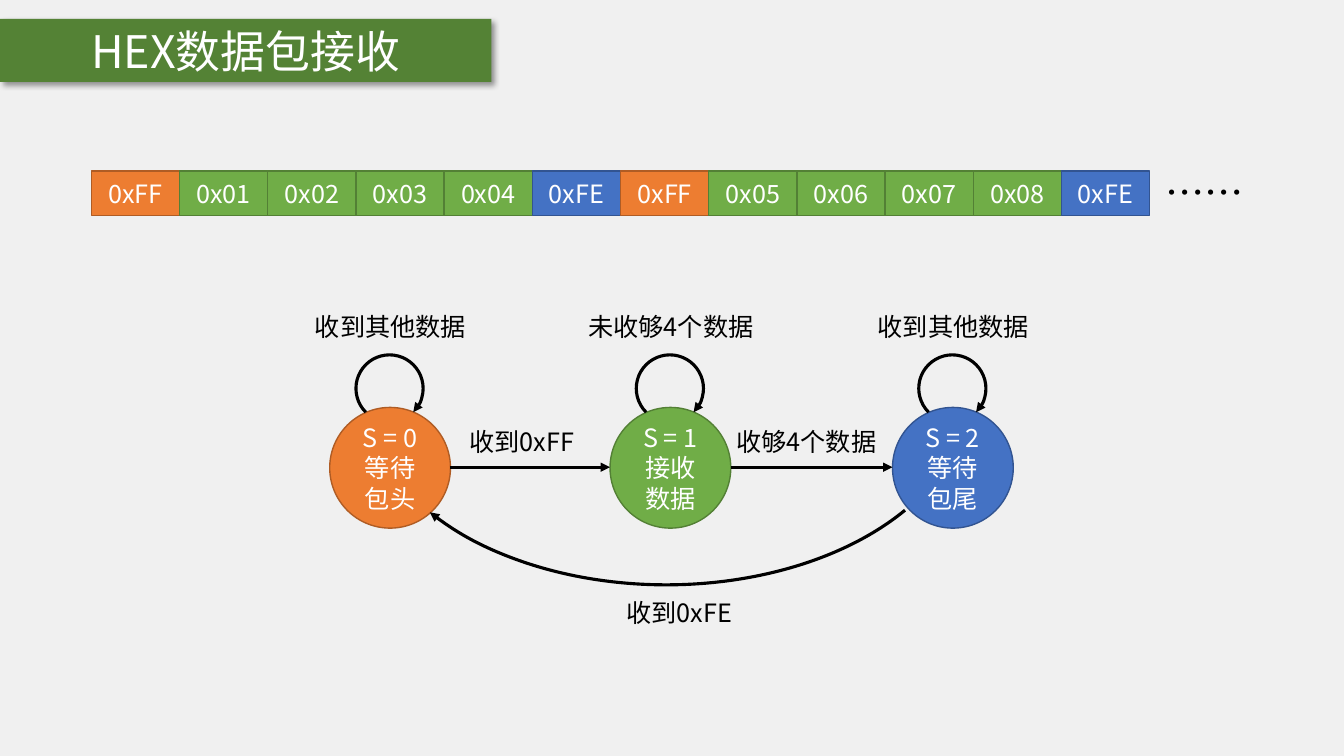
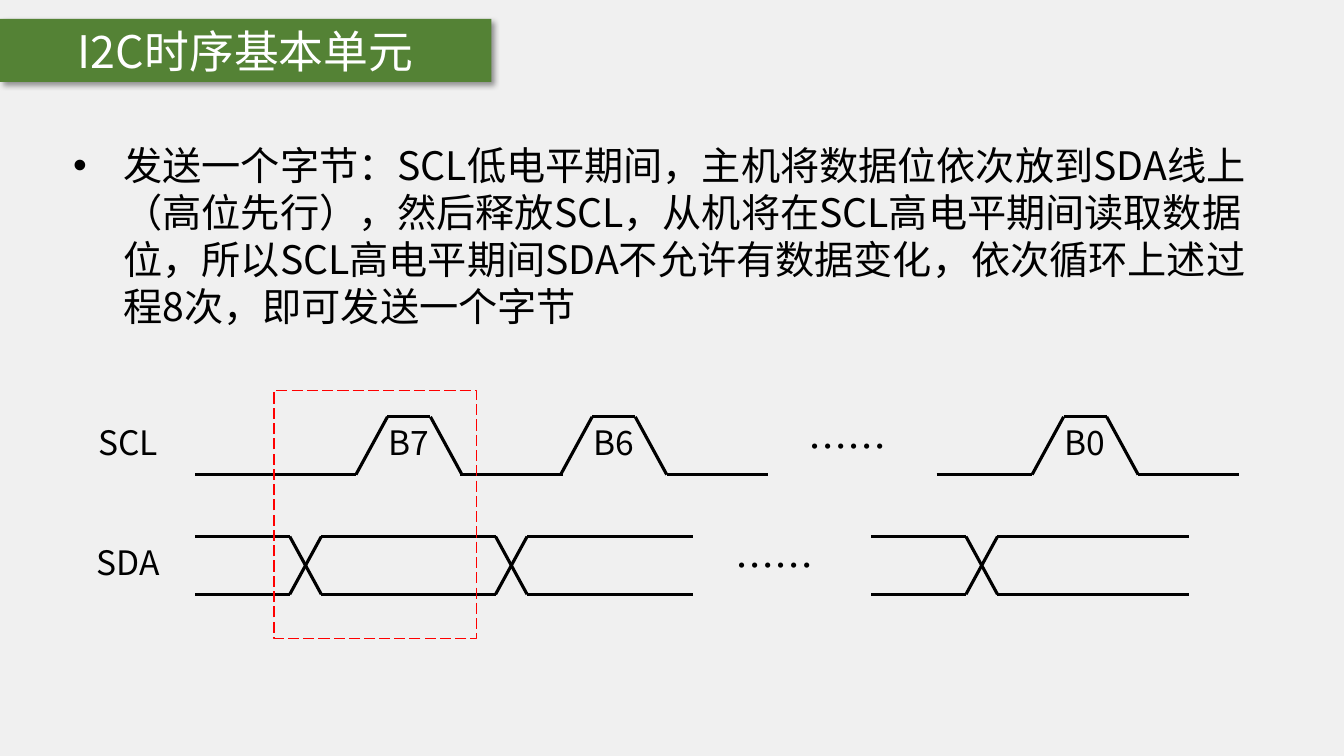
from itertools import pairwise

from lxml.etree import SubElement
from pptx import Presentation
from pptx.dml.color import RGBColor
from pptx.enum.dml import MSO_LINE
from pptx.enum.shapes import MSO_CONNECTOR, MSO_SHAPE
from pptx.enum.text import MSO_ANCHOR, MSO_AUTO_SIZE, PP_ALIGN
from pptx.oxml import parse_xml
from pptx.oxml.ns import nsdecls, qn
from pptx.util import Pt

PX = 9525  # 96 px to the inch
FONT = "Noto Sans CJK SC"
PAPER = RGBColor(0xF0, 0xF0, 0xF0)
BAND = RGBColor(0x54, 0x82, 0x35)
WHITE = RGBColor(0xFF, 0xFF, 0xFF)
BLACK = RGBColor(0x00, 0x00, 0x00)
RED = RGBColor(0xFF, 0x00, 0x00)
# fill and outline of each part of a packet
HEAD = RGBColor(0xED, 0x7D, 0x31), RGBColor(0xAF, 0x5C, 0x24)
DATA = RGBColor(0x70, 0xAD, 0x47), RGBColor(0x53, 0x80, 0x35)
TAIL = RGBColor(0x44, 0x72, 0xC4), RGBColor(0x32, 0x54, 0x91)

SHADOW = (
    f'<a:effectLst {nsdecls("a")}><a:outerShdw blurRad="50800" dist="38100" '
    'dir="2700000" algn="tl" rotWithShape="0"><a:srgbClr val="000000">'
    '<a:alpha val="40000"/></a:srgbClr></a:outerShdw></a:effectLst>'
)


def write(sp, text, size, color, align=PP_ALIGN.CENTER):
    tf = sp.text_frame
    tf.word_wrap = True
    tf.auto_size = MSO_AUTO_SIZE.NONE
    for i, line in enumerate(text.split("\n")):
        p = tf.add_paragraph() if i else tf.paragraphs[0]
        p.alignment = align
        p.space_before = Pt(0)
        r = p.add_run()
        r.text = line
        r.font.size = Pt(size)
        r.font.name = FONT
        r.font.color.rgb = color
        SubElement(r.font._element, qn("a:ea"), typeface=FONT)


def stroke(sp, arrow=False):
    """Draw a connector or an arc in plain black, with an arrowhead at its end if asked."""
    sp.line.color.rgb = BLACK
    sp.line.width = Pt(2.25)
    if arrow:
        SubElement(sp.line._get_or_add_ln(), qn("a:tailEnd"), type="triangle")
    SubElement(sp._element.spPr, qn("a:effectLst"))


prs = Presentation()
prs.slide_width, prs.slide_height = 1280 * PX, 720 * PX
fill = prs.slide_master.background.fill
fill.solid()
fill.fore_color.rgb = PAPER

slides = []
for layout, title in (5, "HEX数据包接收"), (1, "I2C时序基本单元"):
    s = prs.slides.add_slide(prs.slide_layouts[layout])
    sp = s.shapes.title
    sp.left, sp.top, sp.width, sp.height = 0, 18 * PX, 468 * PX, 60 * PX
    sp.fill.solid()
    sp.fill.fore_color.rgb = BAND
    sp.line.fill.background()
    sp._element.spPr.append(parse_xml(SHADOW))
    sp.text_frame.vertical_anchor = MSO_ANCHOR.MIDDLE
    write(sp, title, 32, WHITE)
    slides.append(s)
packet, timing = slides

# Packet slide: byte stream and state circles
blocks = []
stream = "0xFF 0x01 0x02 0x03 0x04 0xFE 0xFF 0x05 0x06 0x07 0x08 0xFE".split()
for i, byte in enumerate(stream):
    style = {"0xFF": HEAD, "0xFE": TAIL}.get(byte, DATA)
    blocks.append((MSO_SHAPE.RECTANGLE, 87 + 84 * i, 163, 84, 42, style, byte))

STATE_X, STATE_Y, STATE_D = (314, 581, 850), 388, 115
states = (HEAD, "S = 0\n等待包头"), (DATA, "S = 1\n接收数据"), (TAIL, "S = 2\n等待包尾")
for x, (style, text) in zip(STATE_X, states):
    blocks.append((MSO_SHAPE.OVAL, x, STATE_Y, STATE_D, STATE_D, style, text))

for kind, x, y, w, h, (color, edge), text in blocks:
    sp = packet.shapes.add_shape(kind, x * PX, y * PX, w * PX, h * PX)
    sp.shadow.inherit = False
    sp.fill.solid()
    sp.fill.fore_color.rgb = color
    sp.line.color.rgb = edge
    sp.line.width = Pt(1)
    sp.text_frame.vertical_anchor = MSO_ANCHOR.MIDDLE
    write(sp, text, 18, WHITE)

# Transitions: the return arc, the loops and the forward arrows
arcs = [(347, 191, 575, 366, 0, 26.2, 153.15)]
arcs += [(x + 25, 338, 64, 64, 45, 90, 0) for x in STATE_X]
for x, y, w, h, turn, start, end in arcs:
    sp = packet.shapes.add_shape(MSO_SHAPE.ARC, x * PX, y * PX, w * PX, h * PX)
    sp.rotation = turn
    # adjustments count in 100000, angles in 60000 to the degree
    sp.adjustments[0], sp.adjustments[1] = start * 0.6, end * 0.6
    sp.fill.background()
    stroke(sp, arrow=True)

for x1, x2 in pairwise(STATE_X):
    line = packet.shapes.add_connector(
        MSO_CONNECTOR.STRAIGHT, (x1 + STATE_D) * PX, 445 * PX, x2 * PX, 445 * PX)
    stroke(line, arrow=True)

labels = [
    (packet, "……", 1093, 156, 108, 55, 28),
    (packet, "收到0xFF", 414, 401, 166, 38, 18),
    (packet, "收够4个数据", 685, 401, 166, 38, 18),
    (packet, "收到0xFE", 564, 564, 166, 38, 18),
]
for x, text in zip(STATE_X, ("收到其他数据", "未收够4个数据", "收到其他数据")):
    labels.append((packet, text, x - 45, 292, 206, 38, 18))

# Timing slide: explanation
body = timing.placeholders[1]
body.left, body.top, body.width, body.height = 60 * PX, 130 * PX, 1160 * PX, 191 * PX
pPr = body.text_frame.paragraphs[0]._p.get_or_add_pPr()
pPr.set("marL", str(48 * PX))
pPr.set("indent", str(-48 * PX))
SubElement(pPr, qn("a:buChar"), char="•")
write(body, "发送一个字节：SCL低电平期间，主机将数据位依次放到SDA线上（高位先行），"
      "然后释放SCL，从机将在SCL高电平期间读取数据位，所以SCL高电平期间SDA不允许有数据变化，"
      "依次循环上述过程8次，即可发送一个字节", 28, BLACK, PP_ALIGN.LEFT)

# Waveforms
SCL_HIGH, SCL_LOW, SDA_HIGH, SDA_LOW = 397, 452, 511, 566
SLOPE, PULSE_TOP = 30, 41
waves = []
for start, rise, end, bit in (186, 339, 536, "B7"), (438, 534, 731, "B6"), (892, 983, 1180, "B0"):
    top = rise + SLOPE
    fall = top + PULSE_TOP
    waves.append([(start, SCL_LOW), (rise, SCL_LOW), (top, SCL_HIGH),
                  (fall, SCL_HIGH), (fall + SLOPE, SCL_LOW), (end, SCL_LOW)])
    labels.append((timing, bit, rise + 6, SCL_HIGH, 89, 48, 24))
for start, cross, end in (186, 276, 401), (383, 472, 660), (830, 920, 1132):
    for y1, y2 in (SDA_HIGH, SDA_LOW), (SDA_LOW, SDA_HIGH):
        waves.append([(start, y1), (cross, y1), (cross + SLOPE, y2), (end, y2)])
for wave in waves:
    for (x1, y1), (x2, y2) in pairwise(wave):
        stroke(timing.shapes.add_connector(
            MSO_CONNECTOR.STRAIGHT, x1 * PX, y1 * PX, x2 * PX, y2 * PX))

labels += [
    (timing, "SCL", 60, SCL_HIGH, 124, 48, 24),
    (timing, "SDA", 60, SDA_HIGH, 124, 48, 24),
    (timing, "……", 745, SCL_HIGH, 124, 55, 28),
    (timing, "……", 676, SDA_HIGH, 124, 55, 28),
]

bit_frame = timing.shapes.add_shape(
    MSO_SHAPE.RECTANGLE, 261 * PX, 372 * PX, 193 * PX, 236 * PX)
bit_frame.shadow.inherit = False
bit_frame.fill.background()
bit_frame.line.color.rgb = RED
bit_frame.line.width = Pt(1)
bit_frame.line.dash_style = MSO_LINE.LONG_DASH

for s, text, x, y, w, h, size in labels:
    write(s.shapes.add_textbox(x * PX, y * PX, w * PX, h * PX), text, size, BLACK)

prs.save("out.pptx")
